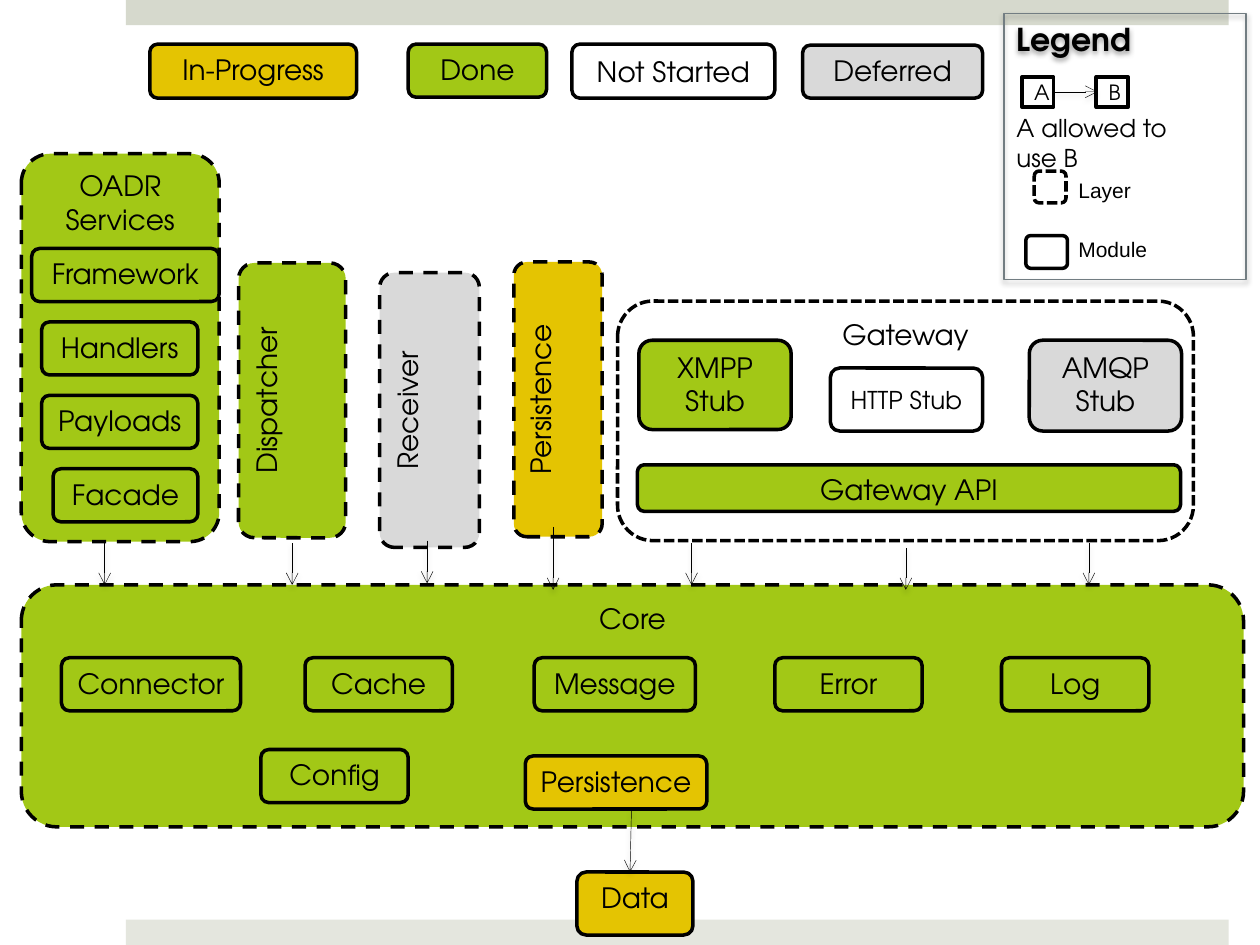
from lxml.etree import SubElement
from pptx import Presentation
from pptx.dml.color import RGBColor
from pptx.enum.dml import MSO_LINE
from pptx.enum.shapes import MSO_CONNECTOR, MSO_SHAPE
from pptx.enum.text import MSO_ANCHOR, PP_ALIGN
from pptx.oxml.ns import qn
from pptx.util import Cm, Pt

BLACK, WHITE = "000000", "FFFFFF"
DONE, IN_PROGRESS, DEFERRED = "A2C816", "E4C402", "D9D9D9"
FONT = "TeX Gyre Adventor"
MODULE_HEIGHT = 1.07


def color(value):
    return RGBColor.from_string(value)


def add_shadow(element, opacity, distance):
    """Drop a soft black shadow straight down; opacity is a percentage."""
    properties = element.spPr
    effects = properties.find(qn("a:effectLst"))
    if effects is None:
        effects = SubElement(properties, qn("a:effectLst"))
    shadow = SubElement(effects, qn("a:outerShdw"), blurRad=str(Pt(3.1)),
                        dist=str(Pt(distance)), dir="5400000", rotWithShape="0")
    black = SubElement(shadow, qn("a:srgbClr"), val=BLACK)
    SubElement(black, qn("a:alpha"), val=str(opacity * 1000))


class Diagram:
    """Draws the architecture elements on one page, with lengths in cm."""

    def __init__(self, page):
        self.shapes = page.shapes

    def set_text(self, item, text, size=16, font=FONT, align=PP_ALIGN.CENTER,
                 anchor=MSO_ANCHOR.TOP, bold=False):
        frame = item.text_frame
        frame.word_wrap = True
        frame.vertical_anchor = anchor
        frame.text = text
        for para in frame.paragraphs:
            para.alignment = align
            para.font.name = font
            para.font.size = Pt(size)
            para.font.bold = bold
            para.font.color.rgb = color(BLACK)

    def box(self, left, top, width, height, fill, text="", kind=MSO_SHAPE.ROUNDED_RECTANGLE,
            line=BLACK, weight=2, dash=None, rotation=0, **style):
        box = self.shapes.add_shape(kind, Cm(left), Cm(top), Cm(width), Cm(height))
        box.shadow.inherit = False
        box.rotation = rotation
        if kind == MSO_SHAPE.ROUNDED_RECTANGLE:
            box.adjustments[0] = 0.148
        if fill:
            box.fill.solid()
            box.fill.fore_color.rgb = color(fill)
        else:
            box.fill.background()
        if line:
            box.line.color.rgb = color(line)
            box.line.width = Pt(weight)
            box.line.dash_style = dash
        else:
            box.line.fill.background()
        if text:
            self.set_text(box, text, **style)
        return box

    def bar(self, top, fill):
        self.box(2.54, top, 22.23, 0.51, fill, kind=MSO_SHAPE.RECTANGLE, line=None)

    def module(self, left, top, width, text, fill=DONE, height=MODULE_HEIGHT, **style):
        self.box(left, top, width, height, fill, text, **style)

    def layer(self, left, top, width, height, fill, text="", dash=MSO_LINE.DASH, **style):
        self.box(left, top, width, height, fill, text, dash=dash, **style)

    def upright_layer(self, left, top, thickness, fill, text):
        self.layer(left, top, 5.54, thickness, fill, text, rotation=270)

    def label(self, left, top, width, height, text, **style):
        label = self.shapes.add_textbox(Cm(left), Cm(top), Cm(width), Cm(height))
        self.set_text(label, text, align=PP_ALIGN.LEFT, **style)

    def arrow(self, start_x, start_y, end_x, end_y):
        arrow = self.shapes.add_connector(MSO_CONNECTOR.STRAIGHT, Cm(start_x), Cm(start_y),
                                          Cm(end_x), Cm(end_y))
        arrow.line.color.rgb = color(BLACK)
        arrow.line.width = Pt(0.25)
        SubElement(arrow.element.spPr.find(qn("a:ln")), qn("a:tailEnd"), type="arrow")
        add_shadow(arrow.element, 35, 1.8)

    def legend(self):
        panel = self.box(20.24, 0.28, 4.88, 5.36, None, "Legend", kind=MSO_SHAPE.RECTANGLE,
                         line="727D82", weight=0.75, size=18, bold=True, align=PP_ALIGN.LEFT)
        add_shadow(panel.element, 38, 1.6)
        for left, letter in ((20.6, "A"), (22.1, "B")):
            self.box(left, 1.55, 0.64, 0.61, WHITE, letter, kind=MSO_SHAPE.RECTANGLE, size=12,
                     align=PP_ALIGN.LEFT, anchor=MSO_ANCHOR.MIDDLE)
        self.arrow(21.23, 1.85, 22.12, 1.85)
        self.label(20.24, 2.16, 4.27, 0.86, "A allowed to use B", size=14)
        self.layer(20.85, 3.45, 0.64, 0.64, WHITE, dash=MSO_LINE.SQUARE_DOT)
        self.module(20.68, 4.75, 0.84, "", WHITE, 0.66)
        for top, width, text in ((3.45, 1.57, "Layer"), (4.65, 1.9, "Module")):
            self.label(21.49, top, width, 0.76, text, size=12, font="Arial")


def main():
    deck = Presentation()
    deck.slide_width, deck.slide_height = Cm(25.4), Cm(19.05)
    diagram = Diagram(deck.slides.add_slide(deck.slide_layouts[6]))

    diagram.bar(0, "D6D9CD")
    diagram.bar(18.54, "E4E6DE")

    diagram.layer(0.43, 11.79, 24.64, 4.88, DONE, "Core")
    diagram.layer(12.45, 6.07, 11.61, 4.83, WHITE, "Gateway", dash=MSO_LINE.SQUARE_DOT)
    diagram.layer(0.43, 3.1, 3.99, 7.82, DONE, "OADR\nServices")
    diagram.upright_layer(3.12, 6.99, 2.16, DONE, "Dispatcher")
    diagram.upright_layer(5.89, 7.26, 2.01, DEFERRED, "Receiver")
    diagram.upright_layer(8.48, 7.16, 1.78, IN_PROGRESS, "Persistence")
    diagram.legend()

    services = ((0.64, 3.78, "Framework"), (0.84, 3.15, "Handlers"),
                (0.84, 3.15, "Payloads"), (1.07, 2.92, "Facade"))
    for row, (left, width, text) in enumerate(services):
        diagram.module(left, 5.01 + 1.48 * row, width, text)

    core_modules = ((1.24, 3.61, "Connector"), (6.15, 2.97, "Cache"), (10.77, 3.25, "Message"),
                    (15.62, 2.97, "Error"), (20.19, 2.97, "Log"))
    for left, width, text in core_modules:
        diagram.module(left, 13.26, width, text)
    diagram.module(5.26, 15.11, 2.97, "Config")
    diagram.module(10.59, 15.24, 3.66, "Persistence", IN_PROGRESS)
    diagram.module(11.63, 17.58, 2.34, "Data", IN_PROGRESS, 1.27)

    diagram.module(12.85, 9.37, 10.95, "Gateway API", height=0.94)
    diagram.module(12.88, 6.86, 3.07, "XMPP Stub", height=1.8)
    diagram.module(16.74, 7.42, 3.07, "HTTP Stub", WHITE, 1.27, size=14,
                   anchor=MSO_ANCHOR.MIDDLE)
    diagram.module(20.75, 6.86, 3.07, "AMQP Stub", DEFERRED, 1.83)

    diagram.module(3.02, 0.89, 4.17, "In-Progress", IN_PROGRESS, 1.09)
    diagram.module(8.23, 0.89, 2.79, "Done")
    diagram.module(11.53, 0.89, 4.09, "Not Started", WHITE, 1.09, anchor=MSO_ANCHOR.MIDDLE)
    diagram.module(16.18, 0.91, 3.63, "Deferred", DEFERRED)

    for x in (2.11, 5.89, 13.94, 21.95):
        diagram.arrow(x, 10.95, x, 11.79)
    for x, start, end in ((8.61, 10.9, 11.76), (11.15, 10.62, 11.89), (18.26, 11.05, 11.89)):
        diagram.arrow(x, start, x, end)
    diagram.arrow(12.73, 16.33, 12.7, 17.58)

    deck.save("out.pptx")


if __name__ == "__main__":
    main()
